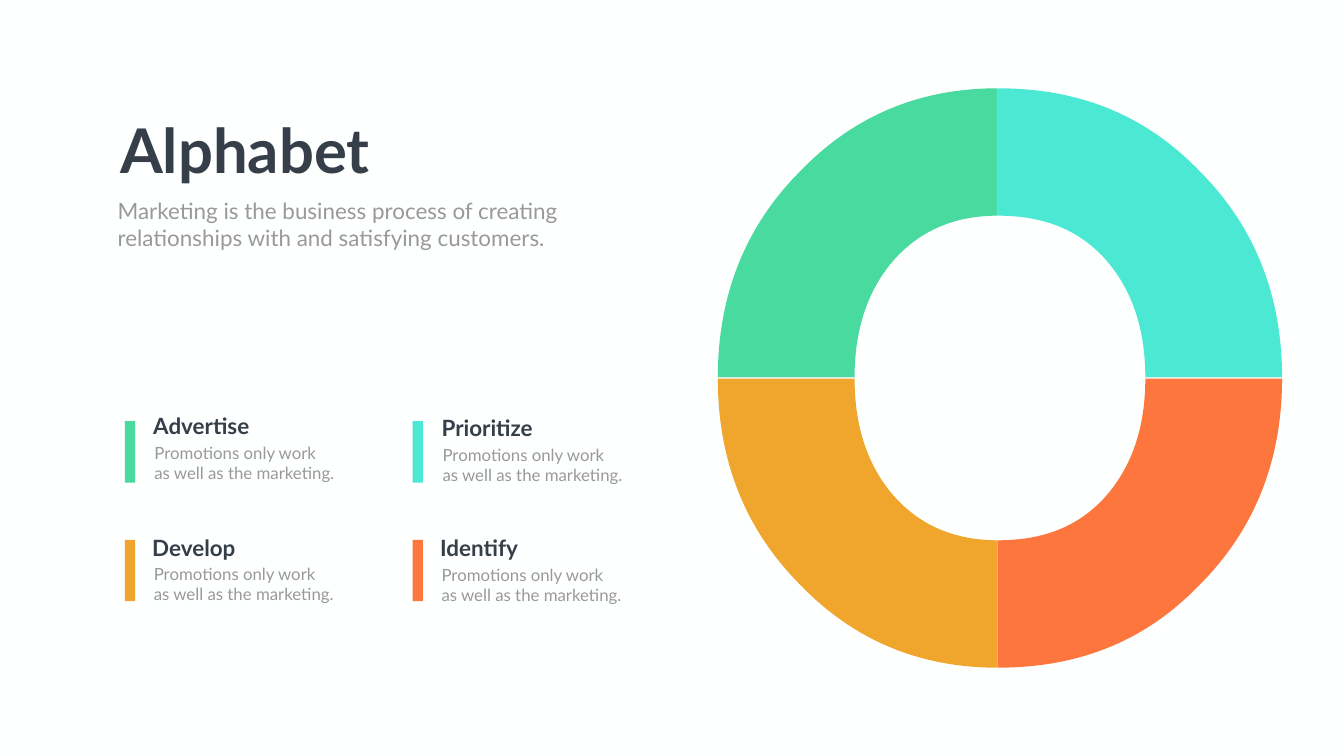
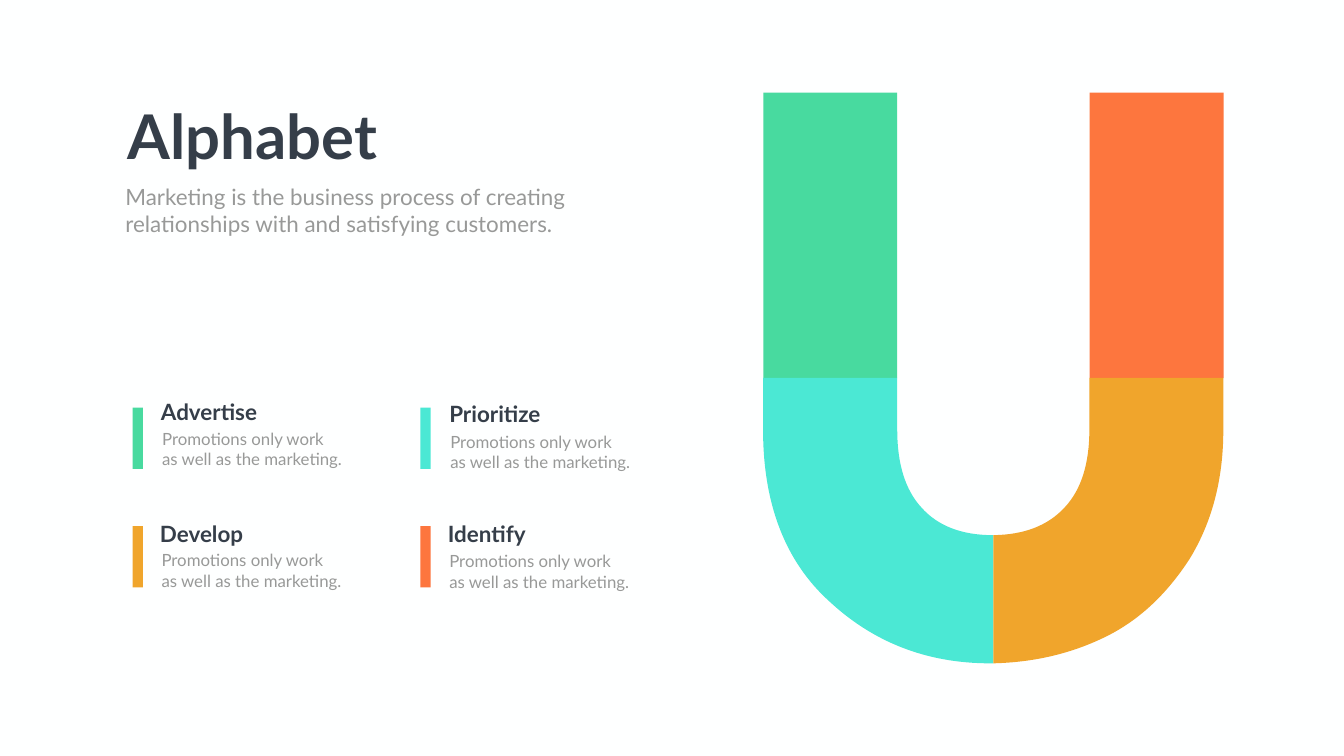
from dataclasses import dataclass

import lxml.etree
import pptx
import pptx.dml.color
import pptx.enum.shapes
import pptx.enum.text
import pptx.oxml.ns
import pptx.util

Cm = pptx.util.Cm
Pt = pptx.util.Pt
RGBColor = pptx.dml.color.RGBColor
PP_ALIGN = pptx.enum.text.PP_ALIGN
qn = pptx.oxml.ns.qn
Point = tuple[float, float]
Outline = list[tuple[float, ...]]

# Shared colours and text formats
PAPER = RGBColor(0xFE, 0xFF, 0xFF)
INK = RGBColor(0x35, 0x3E, 0x49)
GREY = RGBColor(0x98, 0x99, 0x98)
SEAM = RGBColor(0xEA, 0xEA, 0xEA)
GREEN = RGBColor(0x48, 0xDA, 0x9F)
AQUA = RGBColor(0x4B, 0xE8, 0xD4)
AMBER = RGBColor(0xF0, 0xA5, 0x2C)
ORANGE = RGBColor(0xFD, 0x76, 0x3E)

TITLE = {"name": "Lato", "size": Pt(88), "bold": True}
LEAD = {"name": "Lato", "size": Pt(32), "bold": False}
HEADING = {"name": "Lato", "size": Pt(32), "bold": True}
NOTE = {"name": "Lato", "size": Pt(24), "bold": False}

LEAD_LINES = ["Marketing is the business process of creating",
              "relationships with and satisfying customers."]
NOTE_LINES = ["Promotions only work", "as well as the marketing."]

MIDDLE = 19.05  # vertical centre of the slide, cm
SEAM_HEIGHT = 0.03


@dataclass
class Box:
    x: float
    y: float
    w: float
    h: float

    def moved(self, dx: float, dy: float) -> "Box":
        return Box(self.x + dx, self.y + dy, self.w, self.h)

    def lengths(self) -> list[int]:
        return [Cm(v) for v in (self.x, self.y, self.w, self.h)]


@dataclass
class LegendItem:
    """Heading and note are placed from the text block's top left corner."""
    name: str
    color: RGBColor
    heading: Point
    note: Point


LEGEND = [
    LegendItem("Advertise", GREEN, (1.8, 15.14), (1.86, 16.66)),
    LegendItem("Prioritize", AQUA, (16.33, 15.22), (16.38, 16.79)),
    LegendItem("Develop", AMBER, (1.75, 21.26), (1.83, 22.78)),
    LegendItem("Identify", ORANGE, (16.26, 21.26), (16.33, 22.83)),
]
BAR = Box(0.62, 15.72, 0.52, 3.09)
BAR_PITCH = (14.5, 5.98)

# Outlines from a centre: 2 numbers are a line's end, 6 a cubic curve
RING_QUADRANT = [
    (0, 8.18), (0, 14.6),
    (3.94, 14.6, 7.24, 13.22, 9.93, 10.44),
    (12.67, 7.7, 14.1, 4.24, 14.1, 0.03),
    (7.21, 0.03),
    (7.21, 2.49, 6.53, 4.47, 5.21, 5.97),
    (3.89, 7.44, 2.16, 8.18, 0, 8.18),
]
LEFT_BOWL = [
    (-8.28, 11.25),
    (-6.07, 13.31, -3.38, 14.38, -0.18, 14.38),
    (0, 14.38), (0, 7.92), (-0.05, 7.92),
    (-1.63, 7.92, -2.82, 7.44, -3.63, 6.53),
    (-4.45, 5.64, -4.85, 4.32, -4.85, 2.62),
    (-4.85, 0), (-11.61, 0), (-11.61, 2.62),
    (-11.61, 6.35, -10.49, 9.25, -8.28, 11.25),
]
RIGHT_BOWL = [
    (4.83, 2.62),
    (4.83, 4.32, 4.42, 5.64, 3.58, 6.53),
    (2.74, 7.44, 1.55, 7.9, 0, 7.92),
    (0, 14.38),
    (1.98, 14.33, 3.81, 13.92, 5.51, 13.11),
    (7.29, 12.27, 8.71, 10.92, 9.88, 9.12),
    (11, 7.29, 11.58, 5.13, 11.58, 2.62),
    (11.58, 0), (4.83, 0),
]


def paint(sp, color: RGBColor) -> None:
    sp.shadow.inherit = False
    sp.fill.solid()
    sp.fill.fore_color.rgb = color
    sp.line.fill.background()


def add_block(s, box: Box, color: RGBColor) -> None:
    kind = pptx.enum.shapes.MSO_SHAPE.RECTANGLE
    paint(s.shapes.add_shape(kind, *box.lengths()), color)


def add_outline(s, outline: Outline, center_x: float, color: RGBColor) -> None:
    """Build the outline from its end points, then bend the curved parts."""
    parts = [[(Cm(center_x + x), Cm(MIDDLE + y)) for x, y in zip(part[::2], part[1::2])]
             for part in outline]
    fb = s.shapes.build_freeform(*parts[0][-1])
    fb.add_line_segments([part[-1] for part in parts[1:]], close=True)
    sp = fb.convert_to_shape()
    for line, part in zip(list(sp._element.iter(qn("a:lnTo"))), parts[1:]):
        if len(part) == 3:
            line.clear()
            curve = lxml.etree.Element(qn("a:cubicBezTo"))
            for x, y in part:
                lxml.etree.SubElement(curve, qn("a:pt"), x=str(x - sp.left), y=str(y - sp.top))
            line.getparent().replace(line, curve)
    paint(sp, color)


def mirrored(outline: Outline, side: int, half: int, shift: float) -> Outline:
    """Flip an outline, moving all but its points on the axis outwards."""
    return [tuple(half * v if i % 2 else side * (v + shift if v else 0)
                  for i, v in enumerate(part)) for part in outline]


def write(sp, lines: list[str], look: dict, color: RGBColor,
          align=PP_ALIGN.LEFT, wrap: bool = True) -> None:
    tf = sp.text_frame
    frame = {"word_wrap": wrap, "auto_size": pptx.enum.text.MSO_AUTO_SIZE.NONE,
             "vertical_anchor": pptx.enum.text.MSO_ANCHOR.TOP}
    for key, value in frame.items():
        setattr(tf, key, value)
    for i, line in enumerate(lines):
        p = tf.add_paragraph() if i else tf.paragraphs[0]
        p.alignment = align
        p.space_before = Pt(0)
        r = p.add_run()
        r.text = line
        for key, value in look.items():
            setattr(r.font, key, value)
        r.font.color.rgb = color


def place(sp, box: Box) -> None:
    for key, value in zip(("left", "top", "width", "height"), box.lengths()):
        setattr(sp, key, value)


def add_label(s, box: Box, lines: list[str], look: dict, color: RGBColor) -> None:
    write(s.shapes.add_textbox(*box.lengths()), lines, look, color)


def add_text_block(s, x: float, y: float) -> None:
    """Title, lead and legend, from the block's top left corner."""
    title, body = s.placeholders
    place(title, Box(x, y, 13.34, 4.01))
    write(title, ["Alphabet"], TITLE, INK, PP_ALIGN.CENTER, wrap=False)
    place(body, Box(x, y + 4.29, 23.06, 3))
    write(body, LEAD_LINES, LEAD, GREY)
    for p in body.text_frame.paragraphs:
        pPr = p._p.get_or_add_pPr()
        pPr.set("marL", "0")
        pPr.set("indent", "0")
        lxml.etree.SubElement(pPr, qn("a:buNone"))

    for i, item in enumerate(LEGEND):
        row, col = divmod(i, 2)
        add_block(s, BAR.moved(x + col * BAR_PITCH[0], y + row * BAR_PITCH[1]), item.color)
        add_label(s, Box(*item.heading, 5.61, 1.63).moved(x, y), [item.name], HEADING, INK)
        add_label(s, Box(*item.note, 9.7, 2.31).moved(x, y), NOTE_LINES, NOTE, GREY)


def add_letter_o(s) -> None:
    center_x, flat = 50.27, 0.23  # the right half is wider by a short flat
    for side, half, color in [(1, 1, ORANGE), (-1, 1, AMBER), (1, -1, AQUA), (-1, -1, GREEN)]:
        shift = flat if side > 0 else 0
        add_outline(s, mirrored(RING_QUADRANT, side, half, shift), center_x, color)
    for x in (36.17, 57.71):
        add_block(s, Box(x, MIDDLE - SEAM_HEIGHT, 6.88, SEAM_HEIGHT), SEAM)


def add_letter_u(s) -> None:
    leg_w, leg_h = 6.75, 14.38
    for x, color in [(38.46, GREEN), (54.91, ORANGE)]:
        add_block(s, Box(x, MIDDLE, leg_w, SEAM_HEIGHT), SEAM)
        add_block(s, Box(x, MIDDLE - leg_h, leg_w, leg_h), color)
    for outline, color in [(LEFT_BOWL, AQUA), (RIGHT_BOWL, AMBER)]:
        add_outline(s, outline, 50.06, color)


def main() -> None:
    prs = pptx.Presentation()
    prs.slide_width, prs.slide_height = Cm(67.72), Cm(38.1)
    fill = prs.slide_master.background.fill
    fill.solid()
    fill.fore_color.rgb = PAPER

    for add_letter, corner in [(add_letter_o, (5.67, 5.51)), (add_letter_u, (6.06, 4.82))]:
        s = prs.slides.add_slide(prs.slide_layouts[1])
        add_letter(s)
        add_text_block(s, *corner)
    prs.save("out.pptx")


if __name__ == "__main__":
    main()
